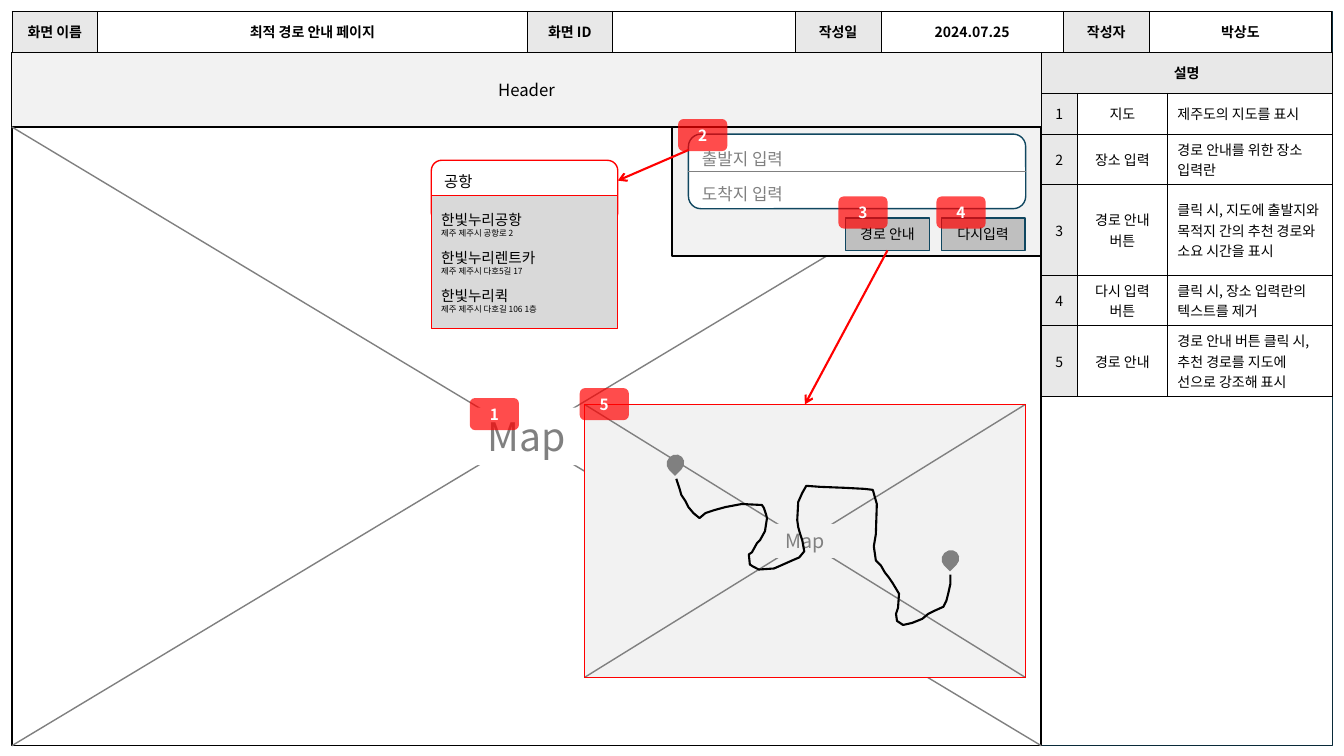
from dataclasses import dataclass

from lxml.etree import SubElement
from pptx import Presentation
from pptx.dml.color import RGBColor
from pptx.enum.shapes import MSO_CONNECTOR, MSO_SHAPE as SHAPE
from pptx.enum.text import MSO_ANCHOR as ANCHOR, PP_ALIGN as ALIGN
from pptx.oxml import parse_xml
from pptx.oxml.ns import nsdecls, qn
from pptx.util import Cm, Pt


@dataclass(frozen=True)
class Theme:
    font: str = "Noto Sans CJK KR"
    black: str = "000000"
    white: str = "FFFFFF"
    gray: str = "808080"
    panel: str = "F2F2F2"
    label: str = "E8E8E8"
    listing: str = "D9D9D9"
    button: str = "BFBFBF"
    teal: str = "104760"
    frame: str = "092A39"
    red: str = "FF0000"
    tiny: float = 6
    small: float = 10
    item: float = 10.5
    medium: float = 11
    large: float = 12
    map_small: float = 14
    map_large: float = 28


T = Theme()

# Content
INFO = ["화면 이름", "최적 경로 안내 페이지", "화면 ID", "", "작성일", "2024.07.25", "작성자", "박상도"]
NOTES_TITLE = "설명"
NOTES = [
    ("1", "지도", "제주도의 지도를 표시"),
    ("2", "장소 입력", "경로 안내를 위한 장소 입력란"),
    ("3", "경로 안내 버튼", "클릭 시, 지도에 출발지와 목적지 간의 추천 경로와 소요 시간을 표시"),
    ("4", "다시 입력 버튼", "클릭 시, 장소 입력란의 텍스트를 제거"),
    ("5", "경로 안내", "경로 안내 버튼 클릭 시, 추천 경로를 지도에 선으로 강조해 표시"),
]
INPUTS = ["출발지 입력", "도착지 입력"]
BUTTONS = ["경로 안내", "다시입력"]
QUERY = "공항"
PLACES = [
    ("한빛누리공항", "제주 제주시 공항로 2"),
    ("한빛누리렌트카", "제주 제주시 다호5길 17"),
    ("한빛누리퀵", "제주 제주시 다호길 106 1층"),
]

# Geometry in cm: left, top, width, height
PAGE = (0.3, 0.28, 33.28, 18.51)
SCREEN = (0.3, 1.32, 25.94, 17.47)
HEADER = (0.3, 1.32, 25.94, 1.88)
MAP = (0.3, 3.2, 25.94, 15.59)
SEARCH = (16.94, 3.2, 9.3, 3.25)
INPUT = (17.35, 3.38, 8.5, 1.88)
POPUP = (10.87, 4.04, 4.7, 1.57)
RESULTS = (10.87, 4.93, 4.7, 3.35)
ROUTE_MAP = (14.73, 10.19, 11.11, 6.88)
BUTTON_X, BUTTON_STEP = 21.31, 2.41
INFO_COLS = [2.16, 10.82] + [2.16, 4.6] * 3
NOTE_COLS = [0.91, 2.27, 4.15]
ROW_H = 1.03
BADGES = [(11.84, 10.03), (17.09, 3), (21.13, 4.95), (23.6, 4.95), (14.61, 9.78)]
PINS = [(16.79, 11.46), (23.72, 13.87)]
ROUTE_UNIT = Cm(0.0254)
ROUTE = [
    (671, 475), (674, 484), (676, 491), (680, 497), (683, 503), (688, 509), (694, 514),
    (700, 509), (709, 506), (720, 503), (736, 500), (756, 501), (758, 504), (760, 510),
    (761, 514), (759, 527), (754, 536), (751, 539), (746, 548), (743, 550), (744, 560),
    (747, 562), (753, 565), (768, 564), (777, 560), (786, 556), (793, 553), (798, 547),
    (796, 536), (794, 530), (792, 523), (791, 516), (792, 498), (796, 489), (800, 482),
    (814, 483), (839, 484), (858, 485), (866, 486), (868, 493), (870, 500), (869, 530),
    (867, 542), (869, 556), (874, 561), (878, 568), (882, 573), (886, 579), (892, 589),
    (891, 603), (889, 609), (890, 616), (896, 620), (905, 618), (915, 614), (921, 609),
    (927, 606), (936, 602), (939, 596), (941, 588), (943, 579), (943, 570),
]


def rgb(color):
    return RGBColor.from_string(color)


def write(tf, text, size, color=T.black, bold=False, align=ALIGN.CENTER, anchor=ANCHOR.MIDDLE):
    tf.text = text
    tf.word_wrap = True
    tf.vertical_anchor = anchor
    for p in tf.paragraphs:
        p.alignment = align
        for r in p.runs:
            r.font.size, r.font.bold, r.font.name = Pt(size), bold, T.font
            r.font.color.rgb = rgb(color)
            SubElement(r.font._element, qn("a:ea"), typeface=T.font)


def box(shapes, at, fill=None, line=None, width=1, kind=SHAPE.RECTANGLE):
    sp = shapes.add_shape(kind, *map(Cm, at))
    sp.shadow.inherit = False
    if fill:
        sp.fill.solid()
        sp.fill.fore_color.rgb = rgb(fill)
    else:
        sp.fill.background()
    if line:
        sp.line.color.rgb = rgb(line)
        sp.line.width = Pt(width)
    else:
        sp.line.fill.background()
    return sp


def connect(shapes, start, end, color=T.gray, width=1, arrow=False):
    """Join two (x, y) points or (shape, side) pairs."""
    free = [(0, 0) if hasattr(a, "shape_id") else (Cm(a), Cm(b)) for a, b in (start, end)]
    cx = shapes.add_connector(MSO_CONNECTOR.STRAIGHT, *free[0], *free[1])
    for (target, side), join in ((start, cx.begin_connect), (end, cx.end_connect)):
        if hasattr(target, "shape_id"):
            join(target, side)
    cx.line.color.rgb = rgb(color)
    cx.line.width = Pt(width)
    if arrow:
        SubElement(cx.line._get_or_add_ln(), qn("a:tailEnd"), type="arrow")
    SubElement(cx._element.spPr, qn("a:effectLst"))


def map_area(slide, at, fill, size, label_h):
    """Crossed frame with a centred label."""
    shapes = slide.shapes.add_group_shape().shapes
    x, y, w, h = at
    box(shapes, at, fill, T.black)
    connect(shapes, (x, y + h), (x + w, y))
    connect(shapes, (x, y), (x + w, y + h))
    label_w = w * 0.757
    label = box(shapes, (x + (w - label_w) / 2, y + (h - label_h) / 2, label_w, label_h), fill)
    tf = label.text_frame
    tf.margin_top = tf.margin_bottom = 0
    write(tf, "Map", size, T.gray)


def add_grid(slide, x, y, cols, n_rows):
    shape = slide.shapes.add_table(n_rows, len(cols), Cm(x), Cm(y), Cm(sum(cols)), Cm(ROW_H * n_rows))
    table = shape.table
    table.first_row = table.horz_banding = False
    for col, w in zip(table.columns, cols):
        col.width = Cm(w)
    for row in table.rows:
        row.height = Cm(ROW_H)
    return table


def fill_cell(cell, text, head=False, bold=False, align=ALIGN.CENTER):
    write(cell.text_frame, text, T.small, bold=bold, align=align)
    cell.vertical_anchor = ANCHOR.MIDDLE
    if not text:
        cell.margin_top = cell.margin_bottom = 0
    if head:
        cell.fill.solid()
        cell.fill.fore_color.rgb = rgb(T.label)
    else:
        cell.fill.background()
    for i, side in enumerate("LRTB"):
        cell._tc.get_or_add_tcPr().insert(i, parse_xml(
            f'<a:ln{side} {nsdecls("a")} w="6350"><a:solidFill><a:srgbClr val="{T.black}"/>'
            f'</a:solidFill></a:ln{side}>'))


def main():
    prs = Presentation()
    prs.slide_width, prs.slide_height = Cm(33.87), Cm(19.05)
    slide = prs.slides.add_slide(prs.slide_layouts[6])
    shapes = slide.shapes

    # Frames and tables
    box(shapes, SCREEN, line=T.black)
    box(shapes, PAGE, line=T.frame, width=0.5)
    info = add_grid(slide, PAGE[0], PAGE[1], INFO_COLS, 1)
    for c, text in enumerate(INFO):
        fill_cell(info.cell(0, c), text, head=c % 2 == 0, bold=True)
    notes = add_grid(slide, SCREEN[0] + SCREEN[2], SCREEN[1], NOTE_COLS, len(NOTES) + 1)
    for r, row in enumerate([(NOTES_TITLE, "", "")] + NOTES):
        for c, text in enumerate(row):
            fill_cell(notes.cell(r, c), text, head=r == 0 or c == 0, bold=r == 0,
                      align=ALIGN.LEFT if c == 2 else ALIGN.CENTER)
    notes.cell(0, 0).merge(notes.cell(0, 2))

    # Header and main map
    write(box(shapes, HEADER, T.panel, T.black, 0.75).text_frame, "Header", T.large)
    map_area(slide, MAP, T.white, T.map_large, 1.45)

    # Search panel
    box(shapes, SEARCH, T.panel, T.black)
    field = box(shapes, INPUT, T.white, T.teal, kind=SHAPE.ROUNDED_RECTANGLE)
    write(field.text_frame, "\n".join(INPUTS), T.large, T.gray, align=ALIGN.LEFT)
    for p, spacing in zip(field.text_frame.paragraphs, (1.5, Pt(25))):
        p.line_spacing = spacing
    connect(shapes, (field, 1), (field, 3))
    buttons = []
    for i, text in enumerate(BUTTONS):
        sp = box(shapes, (BUTTON_X + i * BUTTON_STEP, 5.49, 2.11, 0.82), T.button, T.teal)
        write(sp.text_frame, text, T.small)
        buttons.append(sp)

    # Place suggestions
    popup = box(shapes, POPUP, T.white, T.red, kind=SHAPE.ROUNDED_RECTANGLE)
    write(popup.text_frame, QUERY, T.medium, align=ALIGN.LEFT, anchor=ANCHOR.TOP)
    popup.text_frame.paragraphs[0].line_spacing = 1.2
    tf = box(shapes, RESULTS, T.listing, T.red).text_frame
    lines = [line for place in PLACES for line in place]
    write(tf, "\n".join(lines), T.item, align=ALIGN.LEFT, anchor=ANCHOR.TOP)
    tf.margin_top = Cm(0.38)
    for i, p in enumerate(tf.paragraphs):
        size = T.tiny if i % 2 else T.item
        p.runs[0].font.size = Pt(size)
        p.line_spacing = Pt(size * 1.2)
        p.space_before = Pt(7.2 if i and i % 2 == 0 else 0)
    connect(shapes, (17.35, 3.78), (15.57, 4.55), T.red, 1.5, arrow=True)

    # Route map
    map_area(slide, ROUTE_MAP, T.panel, T.map_small, 0.86)
    outline = box(shapes, ROUTE_MAP, line=T.red)
    connect(shapes, (buttons[0], 2), (outline, 0), T.red, 1.5, arrow=True)
    builder = shapes.build_freeform(*ROUTE[0], scale=ROUTE_UNIT)
    builder.add_line_segments(ROUTE[1:], close=False)
    route = builder.convert_to_shape()
    route.shadow.inherit = False
    route.fill.background()
    route.line.color.rgb = rgb(T.black)
    route.line.width = Pt(1.5)
    for x, y in PINS:
        box(shapes, (x, y, 0.46, 0.43), T.gray, kind=SHAPE.TEAR).rotation = 135

    # Numbered badges
    for n, (x, y) in enumerate(BADGES, 1):
        sp = box(shapes, (x, y, 1.24, 0.81), T.red, kind=SHAPE.ROUNDED_RECTANGLE)
        SubElement(sp._element.spPr.find(qn("a:solidFill"))[0], qn("a:alpha"), val="70000")
        write(sp.text_frame, str(n), T.medium, T.white, bold=True)

    prs.save("out.pptx")


if __name__ == "__main__":
    main()
